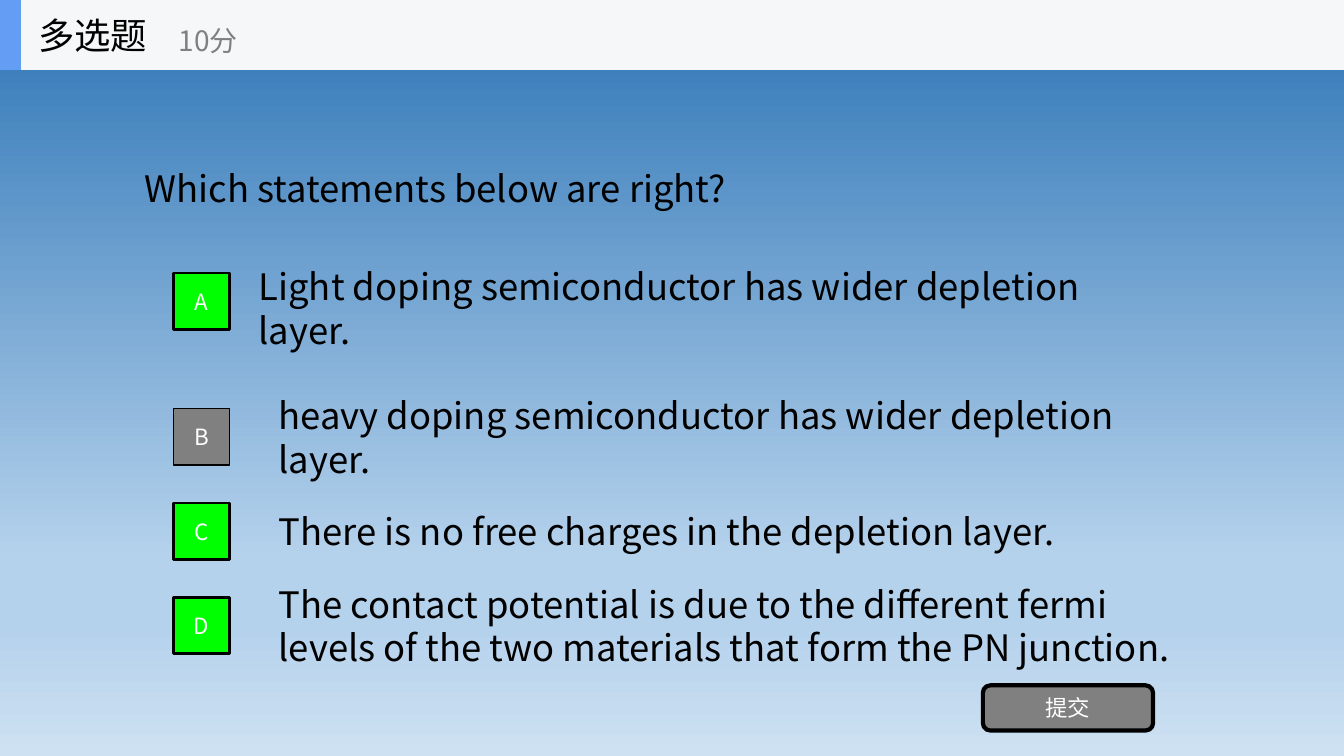
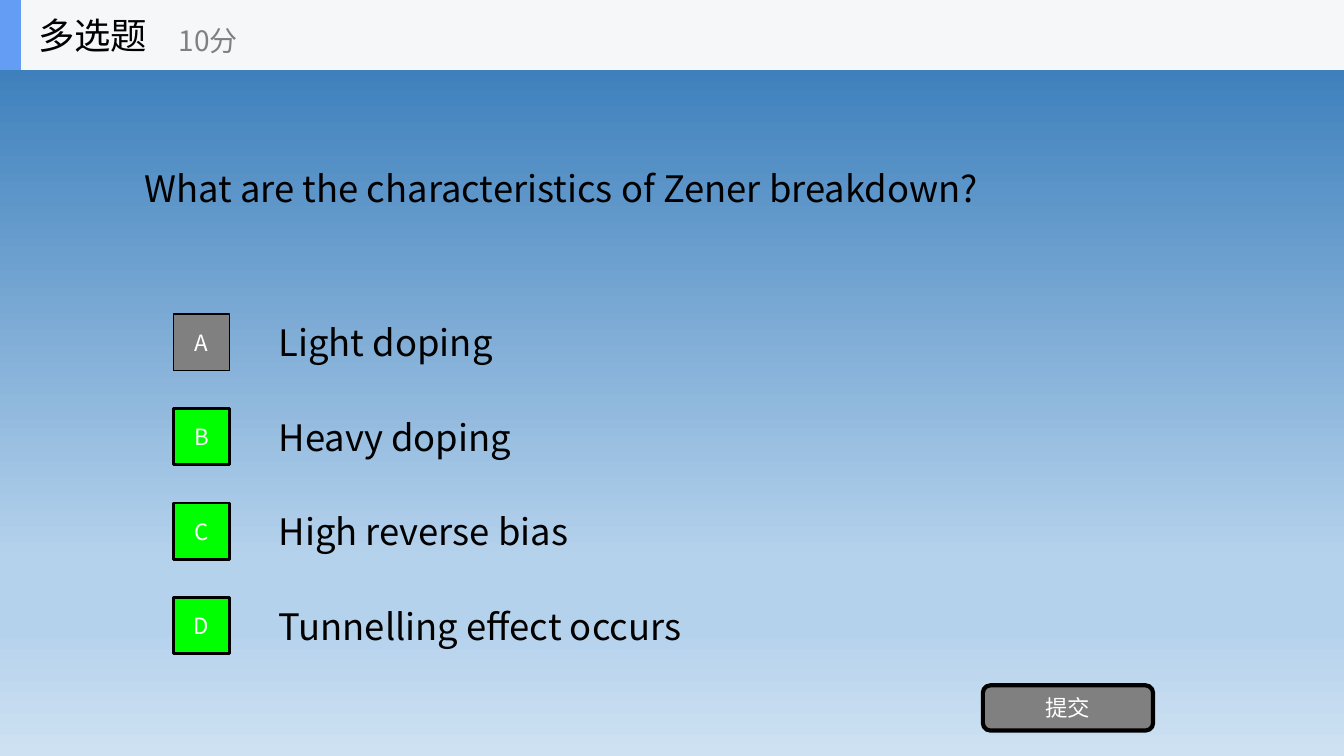
from lxml import etree
from pptx import Presentation
from pptx.dml.color import RGBColor
from pptx.enum import shapes, text
from pptx.oxml import ns
from pptx.util import Cm, Pt

FONT = "Noto Sans CJK SC"
COLORS = {
    "text": "000000",
    "light_text": "FFFFFF",
    "muted": "808080",
    "correct": "00FF00",
    "band": "F6F7F8",
    "accent": "639EF4",
}
BACKGROUND_STOPS = [(0, "2E75B6"), (74, "B5D2EC"), (83, "B5D2EC"), (100, "CEE1F2")]

SLIDE_WIDTH, SLIDE_HEIGHT = 33.87, 19.05
BAND_HEIGHT = 1.76
OPTION_LEFT, OPTION_TOP, OPTION_PITCH = 6.77, 7.74, 2.38
OPTION_WIDTH, OPTION_HEIGHT = 23.71, 1.77
BADGE_LEFT, BADGE_SIZE = 4.37, 1.42
BADGE_INSET = (OPTION_HEIGHT - BADGE_SIZE) / 2

# Each option: text, whether it is correct, and its own (left, top, badge top) if off the grid
QUESTIONS = [
    ("Which statements below are right?", [
        ("Light doping semiconductor has wider depletion layer.", True, (6.27, 6.88, 6.88)),
        ("heavy doping semiconductor has wider depletion layer.", False, None),
        ("There is no free charges in the depletion layer.", True, None),
        ("The contact potential is due to the different fermi levels of the two "
         "materials that form the PN junction.", True, None),
    ]),
    ("What are the characteristics of Zener breakdown?", [
        ("Light doping", False, None),
        ("Heavy doping", True, None),
        ("High reverse bias", True, None),
        ("Tunnelling effect occurs", True, None),
    ]),
]


def rgb(name):
    return RGBColor.from_string(COLORS[name])


def set_background(master):
    """Give the master a vertical gradient that all slides inherit."""
    fill = master.background.fill
    fill.gradient()
    fill.gradient_angle = 270
    stop_list = master.element.xpath("./p:cSld/p:bg//a:gsLst")[0]
    for stop in list(stop_list):
        stop_list.remove(stop)
    for percent, color in BACKGROUND_STOPS:
        stop = etree.SubElement(stop_list, ns.qn("a:gs"), pos=str(percent * 1000))
        etree.SubElement(stop, ns.qn("a:srgbClr"), val=color)


def write(shape, content, size, color, align=text.PP_ALIGN.LEFT):
    frame = shape.text_frame
    frame.word_wrap = True
    frame.vertical_anchor = text.MSO_ANCHOR.MIDDLE
    paragraph = frame.paragraphs[0]
    paragraph.text = content
    paragraph.alignment = align
    font = paragraph.font
    font.size, font.name = Pt(size), FONT
    font.color.rgb = rgb(color)
    # East Asian characters take their typeface from a separate element
    properties = paragraph._p.get_or_add_pPr().find(ns.qn("a:defRPr"))
    etree.SubElement(properties, ns.qn("a:ea"), typeface=FONT)


def add_text(container, box, content, size=26, color="text"):
    shape = container.add_textbox(*map(Cm, box))
    write(shape, content, size, color)


def add_block(container, box, fill, line_width=0, label="", kind="RECTANGLE"):
    """Add a filled shape, with a black outline and a centred label if given."""
    shape = container.add_shape(shapes.MSO_SHAPE[kind], *map(Cm, box))
    shape.shadow.inherit = False
    shape.fill.solid()
    shape.fill.fore_color.rgb = rgb(fill)
    if line_width:
        shape.line.color.rgb = rgb("text")
        shape.line.width = Pt(line_width)
    else:
        shape.line.fill.background()
    if label:
        write(shape, label, 16, "light_text", text.PP_ALIGN.CENTER)


def add_header(slide):
    header = slide.shapes.add_group_shape().shapes
    add_block(header, (0, 0, SLIDE_WIDTH, BAND_HEIGHT), "band")
    add_block(header, (0, 0, 0.53, BAND_HEIGHT), "accent")
    add_text(header, (0.71, 0, 5.29, BAND_HEIGHT), "多选题")
    add_text(header, (4.25, 0.31, 6.35, 1.42), "10分", 20, "muted")


def add_option(slide, index, content, correct, place):
    top = OPTION_TOP + index * OPTION_PITCH
    left, top, badge_top = place or (OPTION_LEFT, top, top + BADGE_INSET)
    add_text(slide.shapes, (left, top, OPTION_WIDTH, OPTION_HEIGHT), content)
    fill, line_width = ("correct", 2) if correct else ("muted", 1)
    add_block(slide.shapes, (BADGE_LEFT, badge_top, BADGE_SIZE, BADGE_SIZE),
              fill, line_width, "ABCD"[index])


def add_question_slide(presentation, question, options):
    slide = presentation.slides.add_slide(presentation.slide_layouts[6])
    add_text(slide.shapes, (3.39, BAND_HEIGHT, 27.09, 5.95), question)
    for index, option in enumerate(options):
        add_option(slide, index, *option)
    add_block(slide.shapes, (24.77, 17.27, 4.29, 1.14), "muted", 3, "提交",
              "ROUNDED_RECTANGLE")
    add_header(slide)


def main():
    presentation = Presentation()
    presentation.slide_width = Cm(SLIDE_WIDTH)
    presentation.slide_height = Cm(SLIDE_HEIGHT)
    set_background(presentation.slide_master)
    for question, options in QUESTIONS:
        add_question_slide(presentation, question, options)
    presentation.save("out.pptx")


if __name__ == "__main__":
    main()
